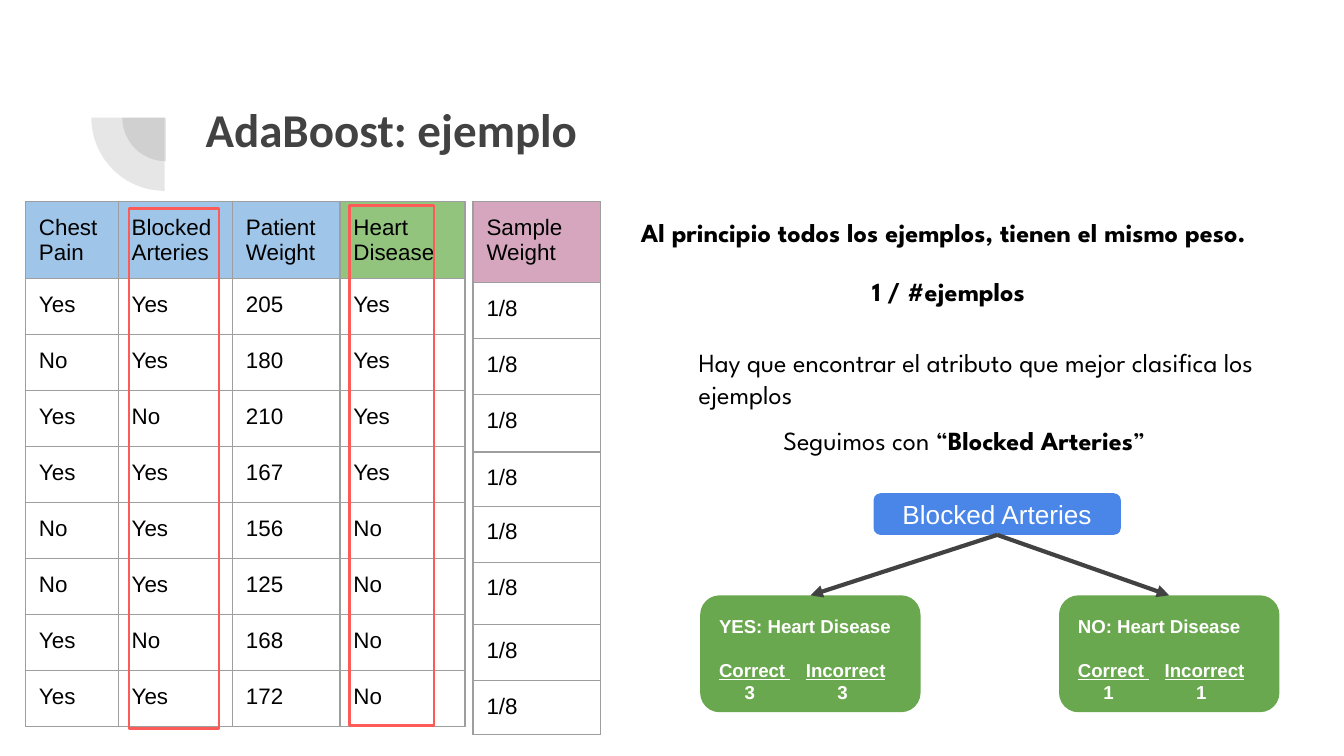
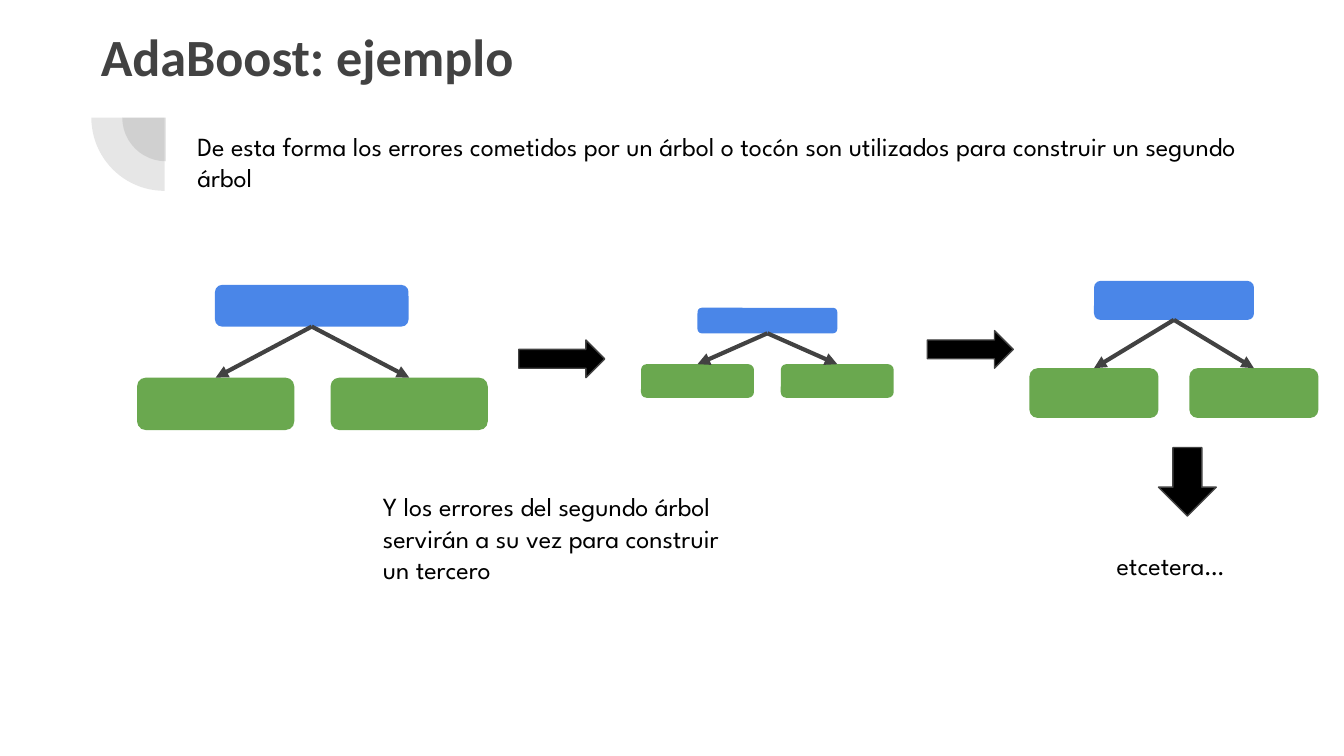
from lxml import etree
from pptx import Presentation
from pptx.dml.color import RGBColor
from pptx.enum.shapes import MSO_CONNECTOR, MSO_SHAPE
from pptx.enum.text import MSO_ANCHOR, MSO_AUTO_SIZE, PP_ALIGN
from pptx.oxml.ns import qn
from pptx.util import Inches, Pt

ROUNDED, RECT, PIE = MSO_SHAPE.ROUNDED_RECTANGLE, MSO_SHAPE.RECTANGLE, MSO_SHAPE.PIE
RIGHT_ARROW, DOWN_ARROW = MSO_SHAPE.RIGHT_ARROW, MSO_SHAPE.DOWN_ARROW
LEFT, CENTER = PP_ALIGN.LEFT, PP_ALIGN.CENTER
TOP, MIDDLE = MSO_ANCHOR.TOP, MSO_ANCHOR.MIDDLE
STRAIGHT = MSO_CONNECTOR.STRAIGHT
NO_FIT, GROW = MSO_AUTO_SIZE.NONE, MSO_AUTO_SIZE.SHAPE_TO_FIT_TEXT


class Theme:
    dark, black, white = "424242", "000000", "FFFFFF"
    root, leaf, frame = "4A86E8", "6AA84F", "FD5B58"
    feature, target, weight = "9FC5E8", "93C47D", "D5A6BD"
    grid = "9E9E9E"
    title_font, body_font, label_font = "Calibri", "League Spartan", "Arial"
    body_size, table_size, leaf_size = 14, 12, 10
    inset = Inches(0.1)


def add_block(s, kind, box, fill=None, line=None, width=0.75):
    sp = s.shapes.add_shape(kind, *map(Inches, box))
    sp.shadow.inherit = False
    if fill:
        sp.fill.solid()
        sp.fill.fore_color.rgb = RGBColor.from_string(fill)
    else:
        sp.fill.background()
    if line:
        sp.line.color.rgb = RGBColor.from_string(line)
        sp.line.width = Pt(width)
    else:
        sp.line.fill.background()
    return sp


def set_font(item, name, size, color, bold=False):
    item.font.name, item.font.size, item.font.bold = name, Pt(size), bold
    item.font.color.rgb = RGBColor.from_string(color)


# Widescreen deck, 16:9
prs = Presentation()
prs.slide_width = Inches(10)
prs.slide_height = prs.slide_width * 9 // 16

# Slides: quarter-circle ornament and title
slides = []
for box, size in [((1.43, 0.65, 7.69, 0.62), 25.2), ((0.65, 0.08, 4.15, 1.09), 28)]:
    s = prs.slides.add_slide(prs.slide_layouts[5])
    slides.append(s)
    for pie in [(0.91, 0.55, 0.65, 0.65), (0.68, 0.33, 1.09, 1.09)]:
        sp = add_block(s, PIE, pie, Theme.dark)
        sp.adjustments[0], sp.adjustments[1] = 108, 162
        sp.rotation = 270
        color = sp.fill._xPr.find(".//" + qn("a:srgbClr"))
        etree.SubElement(color, qn("a:alpha"), val="13000")
    title = s.shapes.title
    title.left, title.top, title.width, title.height = map(Inches, box)
    tf = title.text_frame
    tf.text = "AdaBoost: ejemplo"
    tf.auto_size, tf.vertical_anchor = NO_FIT, TOP
    tf.margin_left = tf.margin_right = tf.margin_top = tf.margin_bottom = Theme.inset
    tf.paragraphs[0].alignment = LEFT
    set_font(tf.paragraphs[0].runs[0], Theme.title_font, size, Theme.dark, True)
example, chain = slides

# Tables: patients and their sample weights, row heights in points
patients = [
    ("Chest Pain", "Blocked Arteries", "Patient Weight", "Heart Disease"),
    ("Yes", "Yes", "205", "Yes"),
    ("No", "Yes", "180", "Yes"),
    ("Yes", "No", "210", "Yes"),
    ("Yes", "Yes", "167", "Yes"),
    ("No", "Yes", "156", "No"),
    ("No", "Yes", "125", "No"),
    ("Yes", "No", "168", "No"),
    ("Yes", "Yes", "172", "No"),
]
weights = [("Sample Weight",)] + [("1/8",)] * 8
tables = [
    (0.19, patients, [0.69, 0.85, 0.8, 0.93], [30] * 9,
     [Theme.feature] * 3 + [Theme.target]),
    (3.52, weights, [0.95], [43.2, 30, 30, 31, 29, 30, 33.5, 30, 29], [Theme.weight]),
]
for left, rows, widths, heights, head_fills in tables:
    table = example.shapes.add_table(
        len(rows), len(widths), Inches(left), Inches(1.5),
        Inches(sum(widths)), Pt(sum(heights))).table
    table.first_row = table.horz_banding = False
    for col, width in zip(table.columns, widths):
        col.width = Inches(width)
    for i, (row, height) in enumerate(zip(rows, heights)):
        table.rows[i].height = Pt(height)
        for j, value in enumerate(row):
            cell = table.cell(i, j)
            cell.text = value
            cell.margin_left = cell.margin_right = Theme.inset
            cell.margin_top = cell.margin_bottom = Theme.inset
            set_font(cell.text_frame.paragraphs[0].runs[0],
                     Theme.label_font, Theme.table_size, Theme.black)
            # Borders come before the fill in the cell properties
            for side in ("a:lnL", "a:lnR", "a:lnT", "a:lnB"):
                ln = etree.SubElement(cell._tc.get_or_add_tcPr(), qn(side), w=str(Pt(0.75)))
                solid = etree.SubElement(ln, qn("a:solidFill"))
                etree.SubElement(solid, qn("a:srgbClr"), val=Theme.grid)
            if i == 0:
                cell.fill.solid()
                cell.fill.fore_color.rgb = RGBColor.from_string(head_fills[j])
            else:
                cell.fill.background()

# Running text: runs are (text, bold)
texts = [
    (example, (4.67, 1.51, 5.07, 0.44),
     [("Al principio todos los ejemplos, tienen el mismo peso.", True)]),
    (example, (6.39, 1.95, 1.64, 0.44), [("1 / #ejemplos", True)]),
    (example, (5.1, 2.48, 4.44, 0.67),
     [("Hay que encontrar el atributo que mejor clasifica los ejemplos", False)]),
    (example, (5.73, 3.06, 3.18, 0.44),
     [("Seguimos con “", False), ("Blocked Arteries", True), ("”", False)]),
    (chain, (1.37, 0.87, 7.96, 0.67),
     [("De esta forma los errores cometidos por un árbol o tocón son utilizados "
       "para construir un segundo árbol", False)]),
    (chain, (2.75, 3.55, 2.85, 0.91),
     [("Y los errores del segundo árbol servirán a su vez para construir un tercero",
       False)]),
    (chain, (8.21, 3.99, 1.26, 0.44), [("etcetera…", False)]),
]
for s, box, runs in texts:
    tf = s.shapes.add_textbox(*map(Inches, box)).text_frame
    tf.word_wrap, tf.auto_size = True, GROW
    tf.margin_left = tf.margin_right = tf.margin_top = tf.margin_bottom = Theme.inset
    for text, bold in runs:
        r = tf.paragraphs[0].add_run()
        r.text = text
        set_font(r, Theme.body_font, Theme.body_size, Theme.black, bold)

# Stumps: root box, left edges of the leaves, leaf top and size, texts
stumps = [
    (example, (6.5, 3.67, 1.84, 0.31), (5.21, 7.88), (4.43, 1.64, 0.87),
     "Blocked Arteries", [("YES", 3), ("NO", 1)]),
    (chain, (1.6, 2.12, 1.44, 0.31), (1.02, 2.46), (2.81, 1.17, 0.39), "", []),
    (chain, (5.19, 2.29, 1.04, 0.19), (4.77, 5.81), (2.71, 0.84, 0.25), "", []),
    (chain, (8.14, 2.09, 1.19, 0.29), (7.66, 8.85), (2.74, 0.96, 0.37), "", []),
]
for s, root, lefts, (top, width, height), question, answers in stumps:
    x, y, w, h = root
    sp = add_block(s, ROUNDED, root, Theme.root)
    if question:
        tf = sp.text_frame
        tf.text = question
        tf.vertical_anchor = MIDDLE
        tf.paragraphs[0].alignment = CENTER
        set_font(tf.paragraphs[0].runs[0], Theme.label_font, Theme.body_size, Theme.white)

    leaves = []
    for left in lefts:
        leaves.append(add_block(s, ROUNDED, (left, top, width, height), Theme.leaf))
        cxn = s.shapes.add_connector(
            STRAIGHT, Inches(x + w / 2), Inches(y + h),
            Inches(left + width / 2), Inches(top))
        cxn.line.color.rgb = RGBColor.from_string(Theme.dark)
        cxn.line.width = Pt(2.25)
        etree.SubElement(cxn.line._get_or_add_ln(), qn("a:tailEnd"), type="triangle")
        etree.SubElement(cxn._element.spPr, qn("a:effectLst"))

    for sp, (answer, count) in zip(leaves, answers):
        tf = sp.text_frame
        tf.text = f"{answer}: Heart Disease\n\n\t{count}\t{count}"
        tf.vertical_anchor = TOP
        tf.margin_left = tf.margin_right = tf.margin_top = tf.margin_bottom = Theme.inset
        _, heading, counts = tf.paragraphs
        for text in ("Correct", " ", "Incorrect"):
            r = heading.add_run()
            r.text = text
            r.font.underline = True
        # One widened space keeps the underline unbroken
        heading.runs[1].font._element.set("spc", "830")
        heading.space_before = Pt(11.5)
        tabs = etree.SubElement(counts._p.get_or_add_pPr(), qn("a:tabLst"))
        for stop in (0.19, 0.88):
            etree.SubElement(tabs, qn("a:tab"), pos=str(Inches(stop)), algn="l")
        for p in tf.paragraphs:
            p.alignment = LEFT
            for r in p.runs:
                set_font(r, Theme.label_font, Theme.leaf_size, Theme.white, True)

# Frames around the compared columns
for box in [(0.96, 1.55, 0.67, 3.87), (2.6, 1.53, 0.63, 3.87)]:
    add_block(example, RECT, box, line=Theme.frame, width=1.5)

# Arrows from one stump to the next
for kind, box in [(RIGHT_ARROW, (3.86, 2.53, 0.64, 0.28)),
                  (RIGHT_ARROW, (6.9, 2.46, 0.64, 0.28)),
                  (DOWN_ARROW, (8.62, 3.33, 0.43, 0.51))]:
    add_block(chain, kind, box, Theme.black, Theme.dark)

prs.save("out.pptx")
